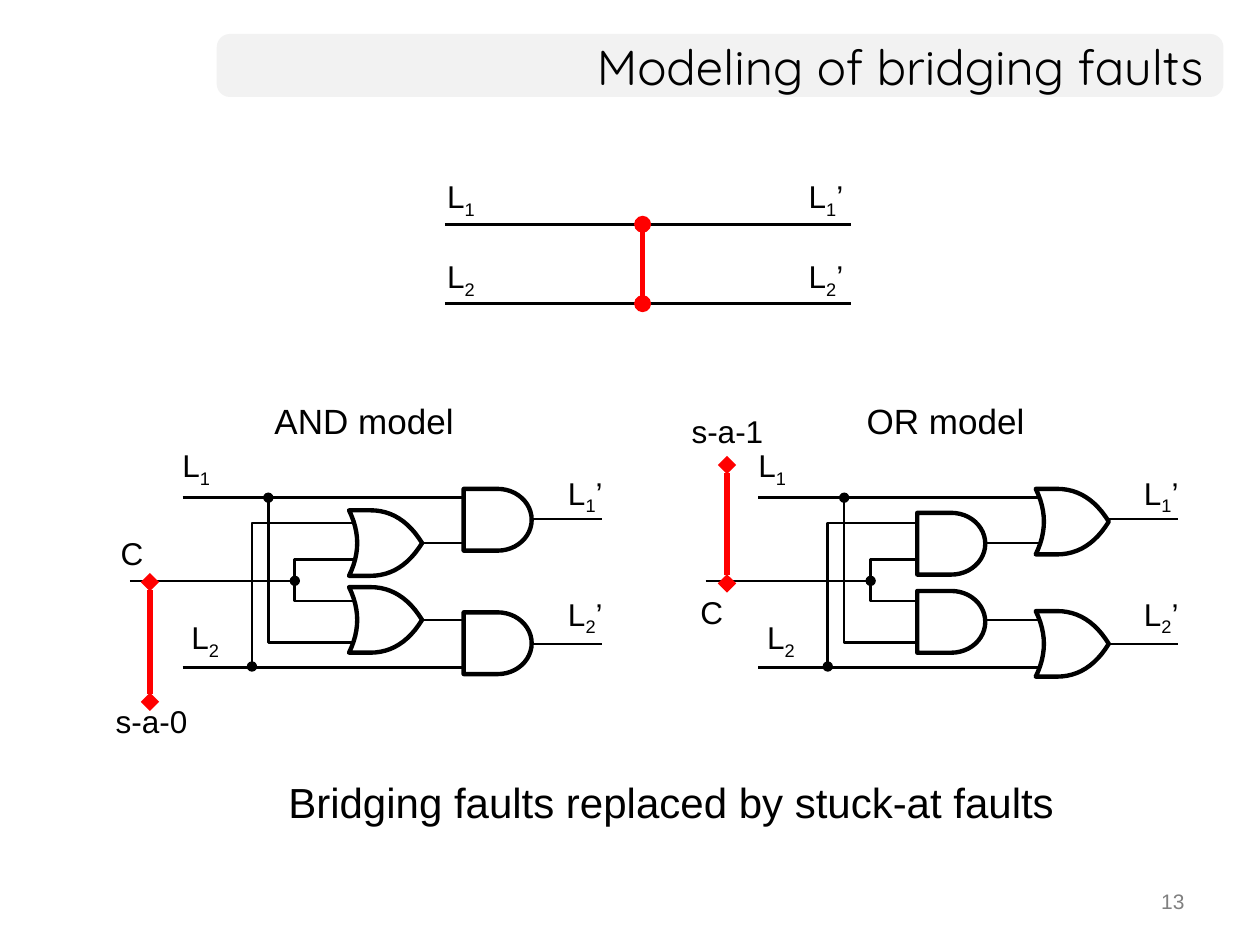
from dataclasses import dataclass

from lxml import etree
from pptx import Presentation
from pptx.dml.color import RGBColor
from pptx.enum.shapes import MSO_CONNECTOR as CONN, MSO_SHAPE as SHAPE
from pptx.enum.text import MSO_ANCHOR as ANCHOR, MSO_AUTO_SIZE as AUTO, PP_ALIGN as ALIGN
from pptx.oxml.ns import qn
from pptx.util import Inches, Pt


@dataclass(frozen=True)
class Theme:
    ink: RGBColor = RGBColor(0, 0, 0)
    paper: RGBColor = RGBColor(255, 255, 255)
    bar: RGBColor = RGBColor(0xF2, 0xF2, 0xF2)
    fault: RGBColor = RGBColor(255, 0, 0)
    muted: RGBColor = RGBColor(0x80, 0x80, 0x80)
    title_font: str = "Quicksand"
    font: str = "Arial"
    title: int = 28
    statement: int = 24
    heading: int = 20
    label: int = 18
    number: int = 12
    wire: float = 1.5
    gate: float = 2.5


T = Theme()


@dataclass(frozen=True)
class Model:
    """What differs between the two circuits; offsets are inches in the box."""
    heading: str
    heading_box: tuple
    inner_gate: str
    inner_at: tuple
    outer_gate: str
    outer_at: tuple
    fault_line: tuple
    stuck: str
    stuck_at: tuple
    c_at: tuple


AND_MODEL = Model("AND model", (1.08, 0.12, 1.65, 0.44),
                  "or", ((1.77, 1.05), (1.77, 1.66)),
                  "and", ((2.68, 0.88), (2.68, 1.86)),
                  (0.19, 2.57, 0.19, 1.62), "s-a-0", (-0.18, 2.52), (-0.14, 1.19))
OR_MODEL = Model("OR model", (1.21, 0.12, 1.46, 0.44),
                 "and", ((1.71, 1.07), (1.71, 1.69)),
                 "or", ((2.65, 0.88), (2.65, 1.85)),
                 (0.2, 1.63, 0.2, 0.69), "s-a-1", (-0.18, 0.22), (-0.11, 1.66))


# Basic parts
def style_font(font, size, color=T.ink, name=T.font):
    font.name, font.size, font.color.rgb = name, Pt(size), color


def style_line(sp, color, width, head=None, tail=None):
    sp.line.color.rgb, sp.line.width = color, Pt(width)
    ln = sp.line._get_or_add_ln()
    for tag, kind in (("a:headEnd", head), ("a:tailEnd", tail)):
        if kind:
            etree.SubElement(ln, qn(tag)).set("type", kind)


def add_text(shapes, x, y, w, h, text, size=T.label, wrap=False, color=T.ink, align=ALIGN.LEFT):
    """Add a label; a digit after 'L' becomes a subscript."""
    box = shapes.add_textbox(Inches(x), Inches(y), Inches(w), Inches(h))
    tf = box.text_frame
    tf.word_wrap, tf.auto_size = wrap, AUTO.SHAPE_TO_FIT_TEXT
    p = tf.paragraphs[0]
    p.alignment = align
    signal = text[0] == "L"
    for part in (text[0], text[1], text[2:]) if signal else (text,):
        if part:
            r = p.add_run()
            r.text = part
            style_font(r.font, size, color)
            if signal and part.isdigit():
                r.font._element.set("baseline", "-25000")


def add_line(shapes, x1, y1, x2, y2, color=T.ink, width=T.wire, head=None, tail=None):
    line = shapes.add_connector(CONN.STRAIGHT, Inches(x1), Inches(y1), Inches(x2), Inches(y2))
    style_line(line, color, width, head, tail)
    etree.SubElement(line._element.spPr, qn("a:effectLst"))


def add_path(shapes, points, closed=False):
    pts = [(Inches(x), Inches(y)) for x, y in points]
    builder = shapes.build_freeform(*pts[0])
    builder.add_line_segments(pts[1:], close=closed)
    sp = builder.convert_to_shape()
    sp.shadow.inherit = False
    return sp


def add_bent_wire(shapes, points, tail=None):
    sp = add_path(shapes, points)
    sp.fill.background()
    style_line(sp, T.ink, T.wire, tail=tail)


# Gates
def curve(start, control, end, steps=12):
    """Points along a quadratic curve."""
    for i in range(steps + 1):
        t = i / steps
        yield tuple((1 - t) ** 2 * a + 2 * t * (1 - t) * b + t * t * c
                    for a, b, c in zip(start, control, end))


def add_gate(shapes, kind, x, y):
    if kind == "and":
        sp = shapes.add_shape(SHAPE.FLOWCHART_DELAY, Inches(x), Inches(y),
                              Inches(0.54), Inches(0.49))
        sp.shadow.inherit = False
    else:
        w, h = 0.58, 0.52
        tip = (w, h / 2)
        outline = [(0, 0), *curve((0.17, 0), (0.42, 0), tip),
                   *curve(tip, (0.42, h), (0.17, h)),
                   *curve((0, h), (0.13, h / 2), (0, 0))]
        sp = add_path(shapes, [(x + dx, y + dy) for dx, dy in outline], closed=True)
    sp.fill.solid()
    sp.fill.fore_color.rgb = T.paper
    style_line(sp, T.ink, T.gate)


# Regions
def add_title(slide, x, y, w, h, text):
    title = slide.shapes.title
    bar = slide.shapes.add_shape(SHAPE.ROUNDED_RECTANGLE, Inches(x), Inches(y),
                                 Inches(w), Inches(h))
    bar.adjustments[0] = 0.21
    bar.shadow.inherit = False
    bar.fill.solid()
    bar.fill.fore_color.rgb = T.bar
    bar.line.fill.background()
    title._element.addprevious(bar._element)
    title.left, title.top = Inches(x), Inches(y)
    title.width, title.height = Inches(w - 0.06), Inches(h)
    tf = title.text_frame
    tf.text = text
    tf.auto_size, tf.vertical_anchor = AUTO.NONE, ANCHOR.MIDDLE
    p = tf.paragraphs[0]
    p.alignment = ALIGN.RIGHT
    style_font(p.runs[0].font, T.title, name=T.title_font)


def add_bridge(shapes, x, y, w, gap):
    """Two signal lines shorted by a bridging fault."""
    for i in range(2):
        line_y = y + i * gap
        add_line(shapes, x, line_y, x + w, line_y)
        add_text(shapes, x - 0.08, line_y - 0.42, 0.43, 0.4, f"L{i + 1}")
        add_text(shapes, x + w - 0.43, line_y - 0.42, 0.49, 0.4, f"L{i + 1}’")
    add_line(shapes, x + 1.57, y, x + 1.57, y + gap, T.fault, 3.25, "oval", "oval")


def add_model(slide, x, y, model):
    """Gate circuit equivalent to the bridging fault."""
    shapes = slide.shapes.add_group_shape().shapes

    def at(*points):
        return [(x + dx, y + dy) for dx, dy in points]

    # Wires: inputs, gate links and outputs
    for x1, x2, wire_y in ((0.45, 3, 0.95), (0.45, 3, 2.3), (2.14, 2.97, 1.31),
                           (2.14, 2.97, 1.92), (2.95, 3.78, 1.12), (2.95, 3.78, 2.11)):
        add_line(shapes, x + x1, y + wire_y, x + x2, y + wire_y)
    add_bent_wire(shapes, at((1.87, 1.15), (1, 1.15), (1, 2.29)), "oval")
    add_bent_wire(shapes, at((1.87, 2.1), (1.13, 2.1), (1.13, 0.95)), "oval")
    add_bent_wire(shapes, at((1.81, 1.44), (1.34, 1.44), (1.34, 1.77), (1.87, 1.77)))
    add_line(shapes, x + 0.03, y + 1.61, x + 1.34, y + 1.61, tail="oval")

    # Gates
    for kind, places in ((model.inner_gate, model.inner_at), (model.outer_gate, model.outer_at)):
        for gate_x, gate_y in at(*places):
            add_gate(shapes, kind, gate_x, gate_y)

    # Stuck-at fault
    x1, y1, x2, y2 = model.fault_line
    add_line(shapes, x + x1, y + y1, x + x2, y + y2, T.fault, 3.5, "diamond", "diamond")

    # Labels
    for text, dx, dy, w in (("L1", 0.35, 0.49, 0.5), ("L2", 0.42, 1.86, 0.58),
                            ("L1’", 3.41, 0.71, 0.66), ("L2’", 3.41, 1.67, 0.66),
                            ("C", *model.c_at, 0.5)):
        add_text(shapes, x + dx, y + dy, w, 0.4, text, wrap=True)
    add_text(shapes, x + model.stuck_at[0], y + model.stuck_at[1], 0.78, 0.4, model.stuck)
    dx, dy, w, h = model.heading_box
    add_text(slide.shapes, x + dx, y + dy, w, h, model.heading, T.heading)


def main():
    prs = Presentation()
    prs.slide_width, prs.slide_height = Inches(10), Inches(7.5)
    slide = prs.slides.add_slide(prs.slide_layouts[5])
    add_title(slide, 1.72, 0.27, 7.99, 0.5, "Modeling of bridging faults")
    add_bridge(slide.shapes, 3.53, 1.78, 3.22, 0.63)
    add_model(slide, 1, 3, AND_MODEL)
    add_model(slide, 5.57, 3, OR_MODEL)
    add_text(slide.shapes, 2.19, 6.11, 6.34, 0.5,
             "Bridging faults replaced by stuck-at faults", T.statement)
    add_text(slide.shapes, 7.17, 7, 2.33, 0.35, "13", T.number, True, T.muted, ALIGN.RIGHT)
    prs.save("out.pptx")


if __name__ == "__main__":
    main()
